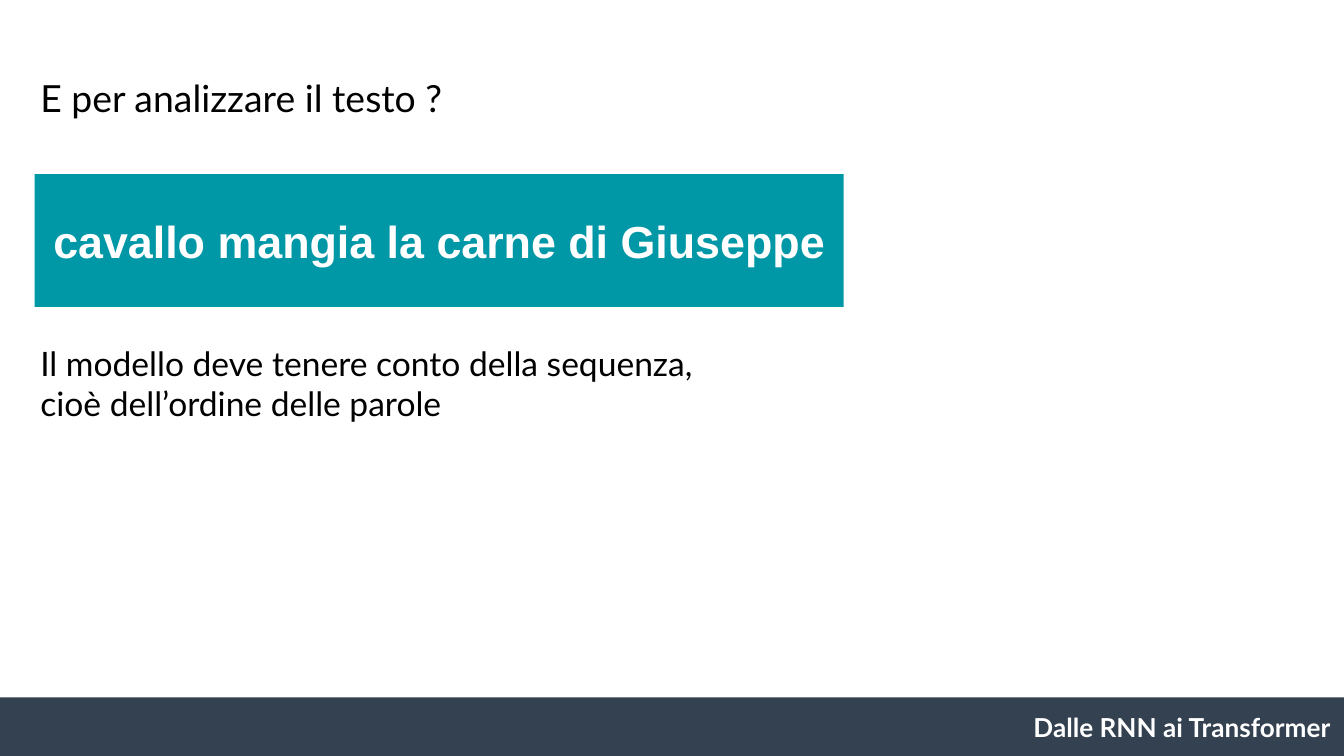
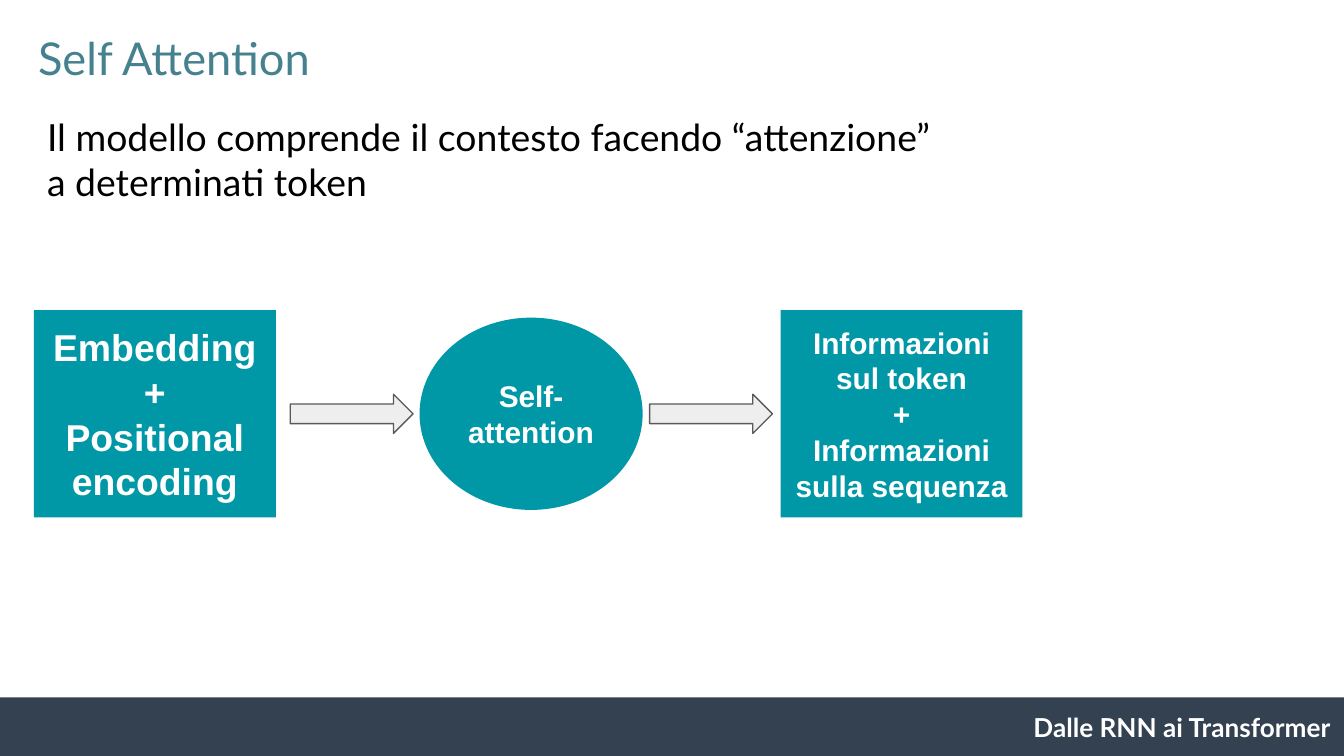
from dataclasses import dataclass
from typing import NamedTuple

from lxml.etree import SubElement
from pptx import Presentation
from pptx.dml.color import RGBColor
from pptx.enum.shapes import MSO_SHAPE
from pptx.enum.text import MSO_ANCHOR, MSO_AUTO_SIZE, PP_ALIGN
from pptx.oxml.ns import qn
from pptx.util import Pt


class Box(NamedTuple):
    left: float
    top: float
    width: float
    height: float


@dataclass(frozen=True)
class Theme:
    teal: str = "0097A7"
    heading: str = "45818E"
    band: str = "334150"
    arrow: str = "EEEEEE"
    arrow_line: str = "595959"
    black: str = "000000"
    white: str = "FFFFFF"
    text_font: str = "Lato"
    block_font: str = "Arial"
    heading_size: float = 24.2
    banner_size: float = 24
    lead_size: float = 20
    body_size: float = 18
    small_size: float = 16
    footer_size: float = 14
    inset: float = 7.2


THEME = Theme()
PAGE = Box(0, 0, 720, 405)
BAND_HEIGHT = 31.3
FOOTER_WIDTH = 306
LAYOUT_TITLE_AND_BODY = 1


def set_all(target, values):
    for name, value in values.items():
        setattr(target, name, value)


def place(shape, box):
    set_all(shape, {name: Pt(value) for name, value in box._asdict().items()})


def write(shape, lines, font, size, color, bold=False,
          align=PP_ALIGN.LEFT, anchor=MSO_ANCHOR.TOP):
    """Fill a shape with one plain, unbulleted paragraph per line."""
    frame = shape.text_frame
    frame.text = "\n".join(lines)
    set_all(frame, {"word_wrap": True, "auto_size": MSO_AUTO_SIZE.NONE,
                    "vertical_anchor": anchor})
    set_all(frame, {f"margin_{side}": Pt(THEME.inset)
                    for side in ("left", "top", "right", "bottom")})
    for para in frame.paragraphs:
        set_all(para, {"alignment": align, "space_before": Pt(0),
                       "space_after": Pt(0)})
        properties = para._p.get_or_add_pPr()
        properties.set("marL", "0")
        properties.set("indent", "0")
        SubElement(properties, qn("a:buNone"))
        for span in para.runs:
            set_all(span.font, {"name": font, "size": Pt(size), "bold": bold})
            span.font.color.rgb = RGBColor.from_string(color)


def add_figure(page, kind, box, fill, line=None):
    shape = page.shapes.add_shape(kind, *map(Pt, box))
    shape.shadow.inherit = False
    shape.fill.solid()
    shape.fill.fore_color.rgb = RGBColor.from_string(fill)
    if line:
        shape.line.color.rgb = RGBColor.from_string(line)
        shape.line.width = Pt(0.75)
    else:
        shape.line.fill.background()
    return shape


def add_block(page, kind, box, lines, size):
    block = add_figure(page, kind, box, THEME.teal)
    write(block, lines, THEME.block_font, size, THEME.white, bold=True,
          align=PP_ALIGN.CENTER, anchor=MSO_ANCHOR.MIDDLE)


def add_footer(page, box):
    add_figure(page, MSO_SHAPE.RECTANGLE, box, THEME.band)
    label_box = box._replace(left=box.left + box.width - FOOTER_WIDTH,
                             width=FOOTER_WIDTH)
    label = page.shapes.add_textbox(*map(Pt, label_box))
    write(label, ["Dalle RNN ai Transformer"], THEME.text_font,
          THEME.footer_size, THEME.white, bold=True, align=PP_ALIGN.RIGHT)


def add_page(deck, title, title_box, title_size, title_color,
             body, body_box, body_size):
    """Add a slide with the shared footer, a title and a body text."""
    page = deck.slides.add_slide(deck.slide_layouts[LAYOUT_TITLE_AND_BODY])
    heading, statement = page.placeholders
    place(heading, title_box)
    write(heading, [title], THEME.text_font, title_size, title_color)
    place(statement, body_box)
    write(statement, body, THEME.text_font, body_size, THEME.black)
    add_footer(page, Box(0, PAGE.height - BAND_HEIGHT, PAGE.width, BAND_HEIGHT))
    return page


def add_attention_flow(page, box):
    """Draw blocks and arrows from left to right on one middle line."""
    def centred(offset, width, height):
        return Box(box.left + offset, box.top + (box.height - height) / 2,
                   width, height)

    block_width = 129.6
    blocks = (
        (MSO_SHAPE.RECTANGLE, centred(0, block_width, box.height),
         ["Embedding", "+", "Positional encoding"], THEME.lead_size),
        (MSO_SHAPE.OVAL, centred(206.6, 119.5, 103),
         ["Self-", "attention"], THEME.small_size),
        (MSO_SHAPE.RECTANGLE,
         centred(box.width - block_width, block_width, box.height),
         ["Informazioni sul token", "+", "Informazioni sulla sequenza"],
         THEME.small_size),
    )
    for block in blocks:
        add_block(page, *block)
    for offset in (137.3, 329.8):
        add_figure(page, MSO_SHAPE.RIGHT_ARROW, centred(offset, 65.8, 21),
                   THEME.arrow, THEME.arrow_line)


def build_text_page(deck):
    page = add_page(
        deck, "E per analizzare il testo ?", Box(14.4, 33.2, 602, 45.4),
        THEME.lead_size, THEME.black,
        ["Il modello deve tenere conto della sequenza,",
         "cioè dell’ordine delle parole"],
        Box(14.4, 176.6, 602, 60), THEME.body_size)
    add_block(page, MSO_SHAPE.RECTANGLE, Box(18.6, 93.3, 433.4, 71.2),
              ["cavallo mangia la carne di Giuseppe"], THEME.banner_size)


def build_attention_page(deck):
    page = add_page(
        deck, "Self Attention", Box(13.2, 8.8, 671, 45.4),
        THEME.heading_size, THEME.heading,
        ["Il modello comprende il contesto facendo “attenzione”",
         "a determinati token"],
        Box(18, 54, 602, 64), THEME.lead_size)
    add_attention_flow(page, Box(18.2, 166.2, 529.6, 111))


def main():
    deck = Presentation()
    deck.slide_width, deck.slide_height = Pt(PAGE.width), Pt(PAGE.height)
    build_text_page(deck)
    build_attention_page(deck)
    deck.save("out.pptx")


if __name__ == "__main__":
    main()
